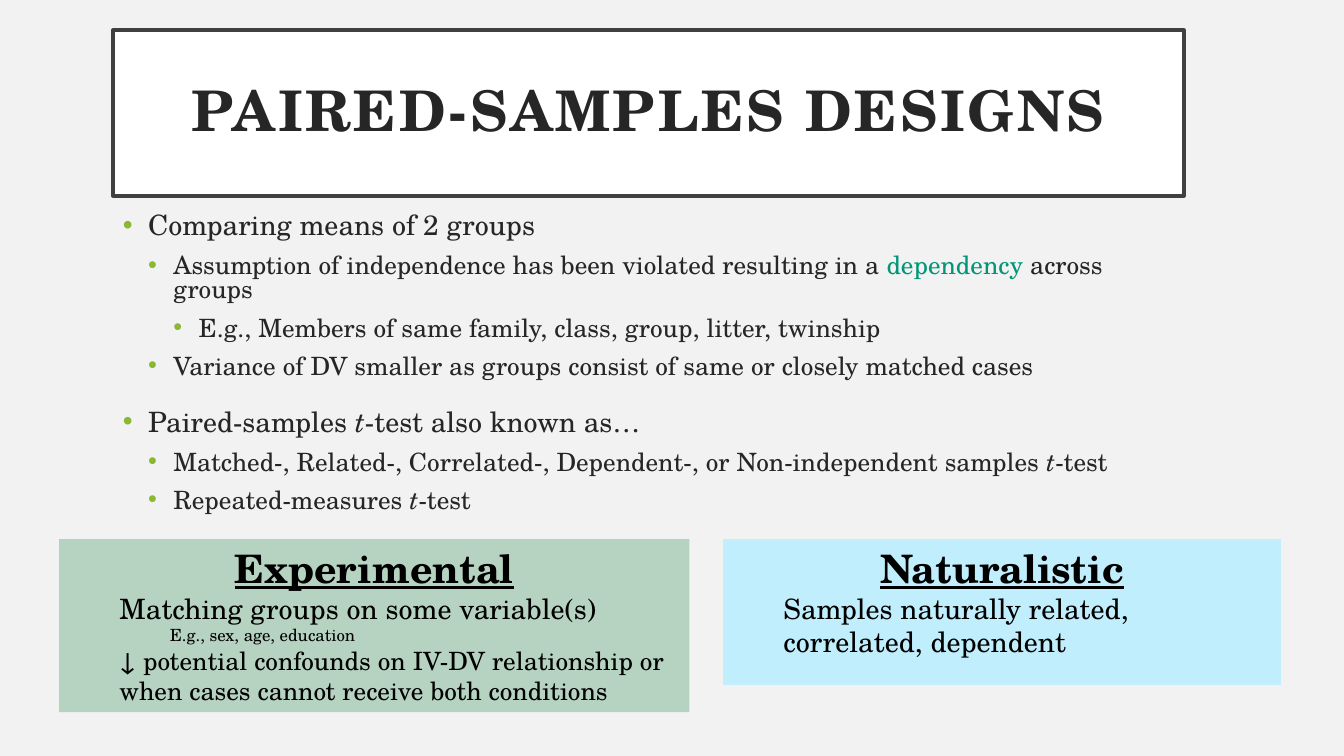
from lxml.etree import SubElement as add_element
from pptx import Presentation
from pptx.dml.color import RGBColor
from pptx.enum.shapes import MSO_SHAPE as Preset
from pptx.enum.text import MSO_ANCHOR as Anchor, MSO_AUTO_SIZE as AutoSize, PP_ALIGN as Align
from pptx.oxml.ns import qn
from pptx.util import Inches, Pt

WIDTH, HEIGHT = Inches(13.33), Inches(7.5)
FONT = "TeX Gyre Schola"
COLOURS = {
    "background": "F2F2F2",
    "panel": "FFFFFF",
    "frame": "404040",
    "text": "262626",
    "accent": "029676",
    "bullet": "8AB833",
    "experimental": "1E8449",
    "naturalistic": "C1EEFC",
    "black": "000000",
}
T_TEST = [("t", {"italic": True})]
OUTLINE = [
    (0, 10, [("Comparing means of 2 groups", {})]),
    (1, 10, [("Assumption of independence has been violated resulting in a ", {}),
             ("dependency", {"colour": "accent"}), (" across groups", {})]),
    (2, 10, [("E.g., Members of same family, class, group, litter, twinship", {})]),
    (1, 10, [("Variance of DV smaller as groups consist of same or closely matched cases", {})]),
    (0, 22, [("Paired-samples ", {})] + T_TEST + [("-test also known as…", {})]),
    (1, 10, [("Matched-, Related-, Correlated-, Dependent-, or Non-independent samples ", {})]
     + T_TEST + [("-test", {})]),
    (1, 10, [("Repeated-measures ", {})] + T_TEST + [("-test", {})]),
]
EXPERIMENTAL = [
    (1, 20, "Matching groups on some variable(s)"),
    (2, 12, "E.g., sex, age, education"),
    (1, 18, "↓ potential confounds on IV-DV relationship or when cases cannot receive both conditions"),
]
NATURALISTIC = [(1, 20, "Samples naturally related, correlated, dependent")]


def colour(name):
    return RGBColor.from_string(COLOURS[name])


def set_values(target, values):
    for name, value in values.items():
        setattr(target, name, value)


def place(shape, left, top, width, height):
    set_values(shape, {"left": int(left * WIDTH), "top": int(top * HEIGHT),
                       "width": int(width * WIDTH), "height": int(height * HEIGHT)})


def fill_with(fill, name):
    fill.solid()
    fill.fore_color.rgb = colour(name)


def add_run(paragraph, text, size, colour_name="text", **values):
    run = paragraph.add_run()
    run.text = text
    set_values(run.font, {"name": FONT, "size": Pt(size), **values})
    run.font.color.rgb = colour(colour_name)
    return run


def next_paragraph(frame, index):
    return frame.add_paragraph() if index else frame.paragraphs[0]


def indent(paragraph, level, margin, hanging):
    paragraph.level = level
    properties = paragraph._p.get_or_add_pPr()
    properties.set("marL", str(Inches(margin)))
    properties.set("indent", str(Inches(hanging)))
    return properties


def add_bullet(properties):
    bullet_colour = add_element(properties, qn("a:buClr"))
    add_element(bullet_colour, qn("a:srgbClr"), val=COLOURS["bullet"])
    add_element(properties, qn("a:buFont"), typeface="Arial")
    add_element(properties, qn("a:buChar"), char="•")


def fill_title(title):
    place(title, 0.084, 0.04, 0.797, 0.219)
    fill_with(title.fill, "panel")
    fill_with(title.line.fill, "frame")
    title.line.width = Pt(2.5)
    margins = {f"margin_{side}": Inches(0.2) for side in ("left", "top", "right", "bottom")}
    set_values(title.text_frame, {"vertical_anchor": Anchor.MIDDLE, "word_wrap": True,
                                  "auto_size": AutoSize.NONE, **margins})
    paragraph = title.text_frame.paragraphs[0]
    set_values(paragraph, {"alignment": Align.CENTER, "line_spacing": 0.9})
    run = add_run(paragraph, "PAIRED-SAMPLES DESIGNS", 40, bold=True)
    run.font._element.set("spc", "200")


def fill_outline(body):
    place(body, 0.084, 0.277, 0.758, 0.365)
    set_values(body.text_frame, {"auto_size": AutoSize.NONE, "word_wrap": True,
                                 "vertical_anchor": Anchor.TOP})
    for index, (level, gap, pieces) in enumerate(OUTLINE):
        paragraph = next_paragraph(body.text_frame, index)
        set_values(paragraph, {"line_spacing": 0.8, "space_before": Pt(gap),
                               "space_after": Pt(0)})
        add_bullet(indent(paragraph, level, 0.25 * (level + 1), -0.25))
        for text, style in pieces:
            add_run(paragraph, text, 18 if level else 20, style.get("colour", "text"),
                    italic=style.get("italic", False))


def add_design_box(slide, bounds, fill_name, heading, lines, opacity=None):
    box = slide.shapes.add_shape(Preset.RECTANGLE, 0, 0, 0, 0)
    place(box, *bounds)
    box.shadow.inherit = False
    fill_with(box.fill, fill_name)
    box.line.fill.background()
    if opacity:
        fill_colour = box._element.spPr.find(qn("a:solidFill"))[0]
        add_element(fill_colour, qn("a:alpha"), val=str(opacity * 1000))
    frame = box.text_frame
    set_values(frame, {"word_wrap": True, "vertical_anchor": Anchor.TOP,
                       "auto_size": AutoSize.SHAPE_TO_FIT_TEXT})
    frame.paragraphs[0].alignment = Align.CENTER
    add_run(frame.paragraphs[0], heading, 28, "black", bold=True, underline=True)
    for level, size, text in lines:
        paragraph = frame.add_paragraph()
        paragraph.alignment = Align.LEFT
        indent(paragraph, level, 0.5 * level, 0)
        add_run(paragraph, text, size, "black")


def main():
    presentation = Presentation()
    set_values(presentation, {"slide_width": WIDTH, "slide_height": HEIGHT})
    slide = presentation.slides.add_slide(presentation.slide_layouts[1])
    fill_with(slide.background.fill, "background")
    fill_title(slide.shapes.title)
    fill_outline(slide.placeholders[1])
    add_design_box(slide, (0.044, 0.713, 0.469, 0.229), "experimental",
                   "Experimental", EXPERIMENTAL, opacity=28)
    add_design_box(slide, (0.538, 0.713, 0.415, 0.193), "naturalistic",
                   "Naturalistic", NATURALISTIC)
    presentation.save("out.pptx")


if __name__ == "__main__":
    main()
